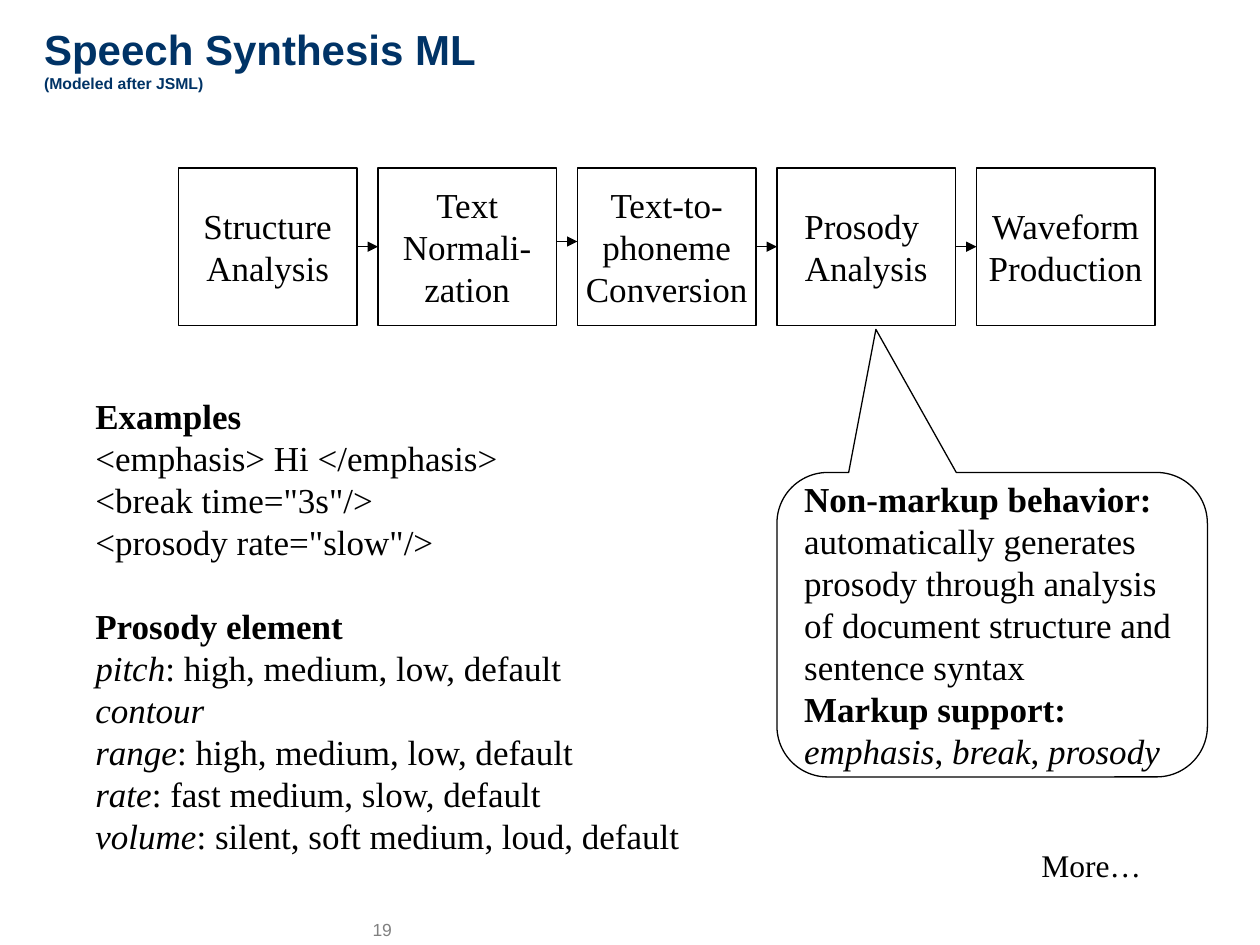
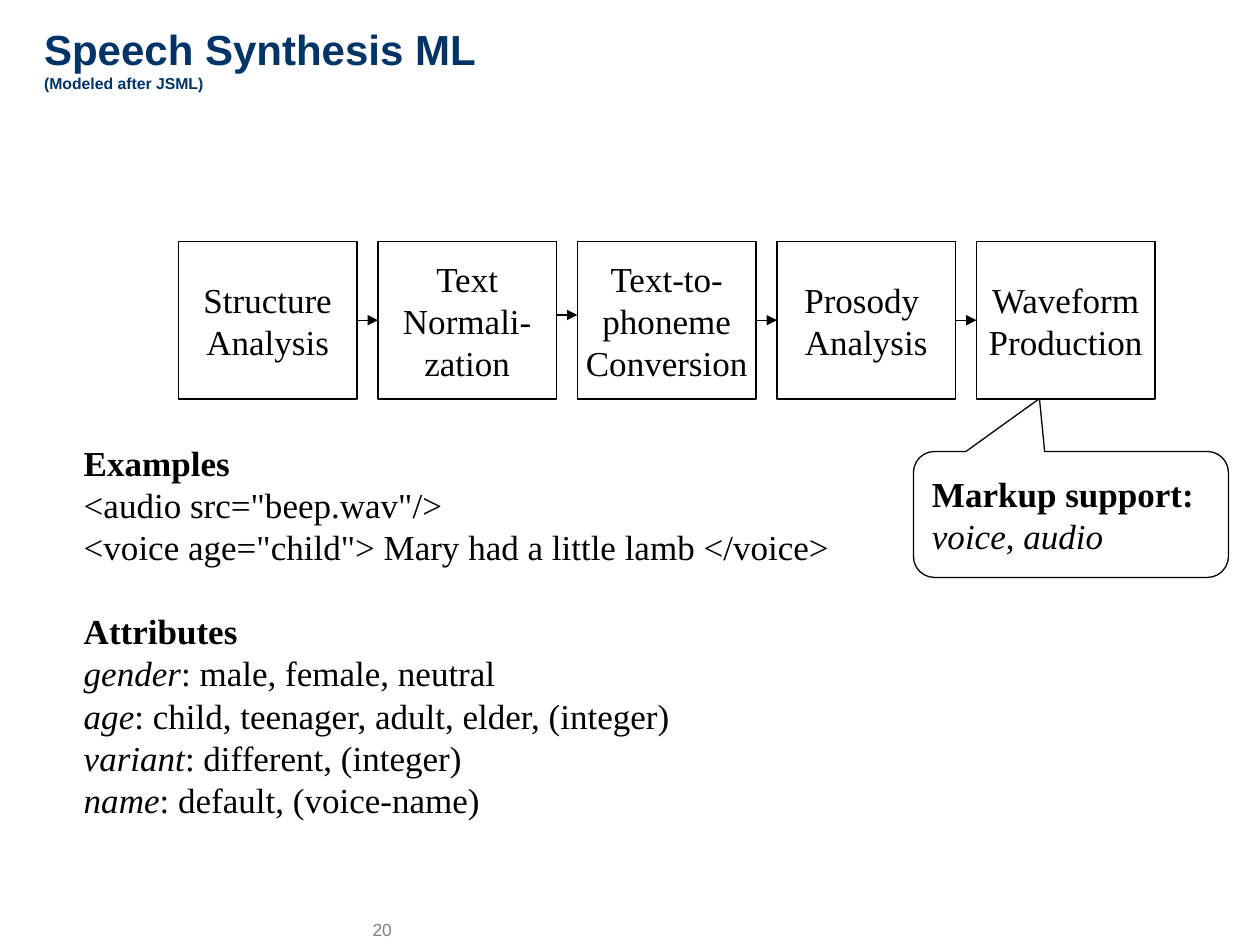
from dataclasses import dataclass

from lxml import etree
from pptx import Presentation
from pptx import util as u
from pptx.dml.color import RGBColor
from pptx.enum import shapes, text
from pptx.oxml.ns import qn

PX_PER_INCH = 120


@dataclass(frozen=True)
class Theme:
    title_font: str = "Arial"
    body_font: str = "Times New Roman"
    navy: str = "003366"
    ink: str = "000000"
    grey: str = "808080"
    title_size: int = 24
    subtitle_size: int = 9
    body_size: int = 20
    more_size: int = 18
    number_size: int = 10
    section_gap: int = 24
    line_width: float = 0.75


THEME = Theme()

TITLE = "Speech Synthesis ML"
SUBTITLE = "(Modeled after JSML)"
TITLE_AREA = (30, 0, 740, 110)
NUMBER_AREA = (343, 870, 40, 30)

STAGES = [
    ["Structure", "Analysis"],
    ["Text", "Normali-", "zation"],
    ["Text-to-", "phoneme", "Conversion"],
    ["Prosody ", "Analysis"],
    ["Waveform", "Production"],
]
STAGE_LEFT, STAGE_STEP, STAGE_WIDTH, STAGE_HEIGHT = 170, 190, 170, 150
ARROW_DROPS = [75, 70, 75, 75]

SLIDES = [
    {
        "number": "19",
        "stage_top": 160,
        "callout": {
            "area": (740, 450, 410, 290),
            "pointer": (-0.27, -0.97),
            "lines": [
                [("b", "Non-markup behavior:")],
                [("", "automatically generates")],
                [("", "prosody through analysis")],
                [("", "of document structure and")],
                [("", "sentence syntax")],
                [("b", "Markup support:")],
                [("i", "emphasis"), ("", ", "), ("i", "break"), ("", ", "), ("i", "prosody")],
            ],
        },
        "notes_area": (79, 370, 581, 452),
        "examples": ["<emphasis> Hi </emphasis>", '<break time="3s"/>', '<prosody rate="slow"/>'],
        "heading": "Prosody element",
        "attributes": [
            ("pitch", ": high, medium, low, default"),
            ("contour", ""),
            ("range", ": high, medium, low, default"),
            ("rate", ": fast medium, slow, default"),
            ("volume", ": silent, soft medium, loud, default"),
        ],
        "more": ("More…", (980, 800, 119, 48)),
    },
    {
        "number": "20",
        "stage_top": 230,
        "callout": {
            "area": (870, 430, 300, 120),
            "pointer": (-0.1, -0.92),
            "lines": [
                [("b", "Markup support:")],
                [("i", "voice"), ("", ", "), ("i", "audio")],
            ],
        },
        "notes_area": (68, 415, 734, 413),
        "examples": ['<audio src="beep.wav"/>', '<voice age="child"> Mary had a little lamb </voice>'],
        "heading": "Attributes",
        "attributes": [
            ("gender", ": male, female, neutral"),
            ("age", ": child, teenager, adult, elder, (integer)"),
            ("variant", ": different, (integer)"),
            ("name", ": default, (voice-name)"),
        ],
    },
]


def px(*lengths):
    return [u.Emu(round(length * 914400 / PX_PER_INCH)) for length in lengths]


def add_span(para, content, size, font=THEME.body_font, color=THEME.ink, style=""):
    span = para.add_run()
    span.text = content
    span.font.name = font
    span.font.size = u.Pt(size)
    span.font.color.rgb = RGBColor.from_string(color)
    span.font.bold = "b" in style
    span.font.italic = "i" in style


def add_lines(frame, lines, align=text.PP_ALIGN.LEFT, gap_before=None):
    for index, line in enumerate(lines):
        para = frame.paragraphs[0] if index == 0 else frame.add_paragraph()
        para.alignment = align
        if index == gap_before:
            para.space_before = u.Pt(THEME.section_gap)
        for style, content in line:
            add_span(para, content, THEME.body_size, style=style)


def add_outline(page, kind, area):
    box = page.shapes.add_shape(kind, *px(*area))
    box.shadow.inherit = False
    box.fill.background()
    box.line.color.rgb = RGBColor.from_string(THEME.ink)
    box.line.width = u.Pt(THEME.line_width)
    box.text_frame.word_wrap = False
    box.text_frame.vertical_anchor = text.MSO_ANCHOR.MIDDLE
    return box


def add_text_frame(page, area):
    frame = page.shapes.add_textbox(*px(*area)).text_frame
    frame.word_wrap = False
    frame.auto_size = text.MSO_AUTO_SIZE.SHAPE_TO_FIT_TEXT
    return frame


def add_title(page):
    title = page.shapes.title
    title.left, title.top, title.width, title.height = px(*TITLE_AREA)
    frame = title.text_frame
    frame.auto_size = text.MSO_AUTO_SIZE.NONE
    frame.vertical_anchor = text.MSO_ANCHOR.MIDDLE
    para = frame.paragraphs[0]
    para.alignment = text.PP_ALIGN.LEFT
    add_span(para, TITLE, THEME.title_size, THEME.title_font, THEME.navy, "b")
    para.add_line_break()
    line_break = para._p.find(qn("a:br"))
    etree.SubElement(line_break, qn("a:rPr"), sz=str(THEME.title_size * 100))
    add_span(para, SUBTITLE, THEME.subtitle_size, THEME.title_font, THEME.navy, "b")


def add_number(page, number):
    frame = add_text_frame(page, NUMBER_AREA)
    frame.auto_size = text.MSO_AUTO_SIZE.NONE
    frame.vertical_anchor = text.MSO_ANCHOR.MIDDLE
    add_span(frame.paragraphs[0], number, THEME.number_size, THEME.title_font, THEME.grey)


def add_arrow(page, left, right, y):
    arrow = page.shapes.add_connector(shapes.MSO_CONNECTOR.STRAIGHT, *px(left, y, right, y))
    arrow.line.color.rgb = RGBColor.from_string(THEME.ink)
    arrow.line.width = u.Pt(THEME.line_width)
    properties = arrow._element.spPr
    etree.SubElement(properties.find(qn("a:ln")), qn("a:tailEnd"), type="triangle")
    etree.SubElement(properties, qn("a:effectLst"))


def add_pipeline(page, top):
    lefts = [STAGE_LEFT + index * STAGE_STEP for index in range(len(STAGES))]
    for left, words in zip(lefts, STAGES):
        box = add_outline(page, shapes.MSO_SHAPE.RECTANGLE, (left, top, STAGE_WIDTH, STAGE_HEIGHT))
        add_lines(box.text_frame, [[("", word)] for word in words], text.PP_ALIGN.CENTER)
    for left, following, drop in zip(lefts, lefts[1:], ARROW_DROPS):
        add_arrow(page, left + STAGE_WIDTH, following, top + drop)


def add_callout(page, callout):
    box = add_outline(page, shapes.MSO_SHAPE.ROUNDED_RECTANGULAR_CALLOUT, callout["area"])
    box.adjustments[0], box.adjustments[1] = callout["pointer"]
    add_lines(box.text_frame, callout["lines"])


def add_notes(page, content):
    examples = [[("b", "Examples")]] + [[("", code)] for code in content["examples"]]
    attributes = [[("b", content["heading"])]]
    for name, values in content["attributes"]:
        attributes.append([("i", name)] + ([("", values)] if values else []))
    frame = add_text_frame(page, content["notes_area"])
    add_lines(frame, examples + attributes, gap_before=len(examples))


def main():
    deck = Presentation()
    deck.slide_width, deck.slide_height = px(1200, 900)
    title_only = deck.slide_layouts[5]
    for content in SLIDES:
        page = deck.slides.add_slide(title_only)
        add_number(page, content["number"])
        add_title(page)
        add_pipeline(page, content["stage_top"])
        add_callout(page, content["callout"])
        add_notes(page, content)
        if "more" in content:
            label, area = content["more"]
            add_span(add_text_frame(page, area).paragraphs[0], label, THEME.more_size)
    deck.save("out.pptx")


if __name__ == "__main__":
    main()
